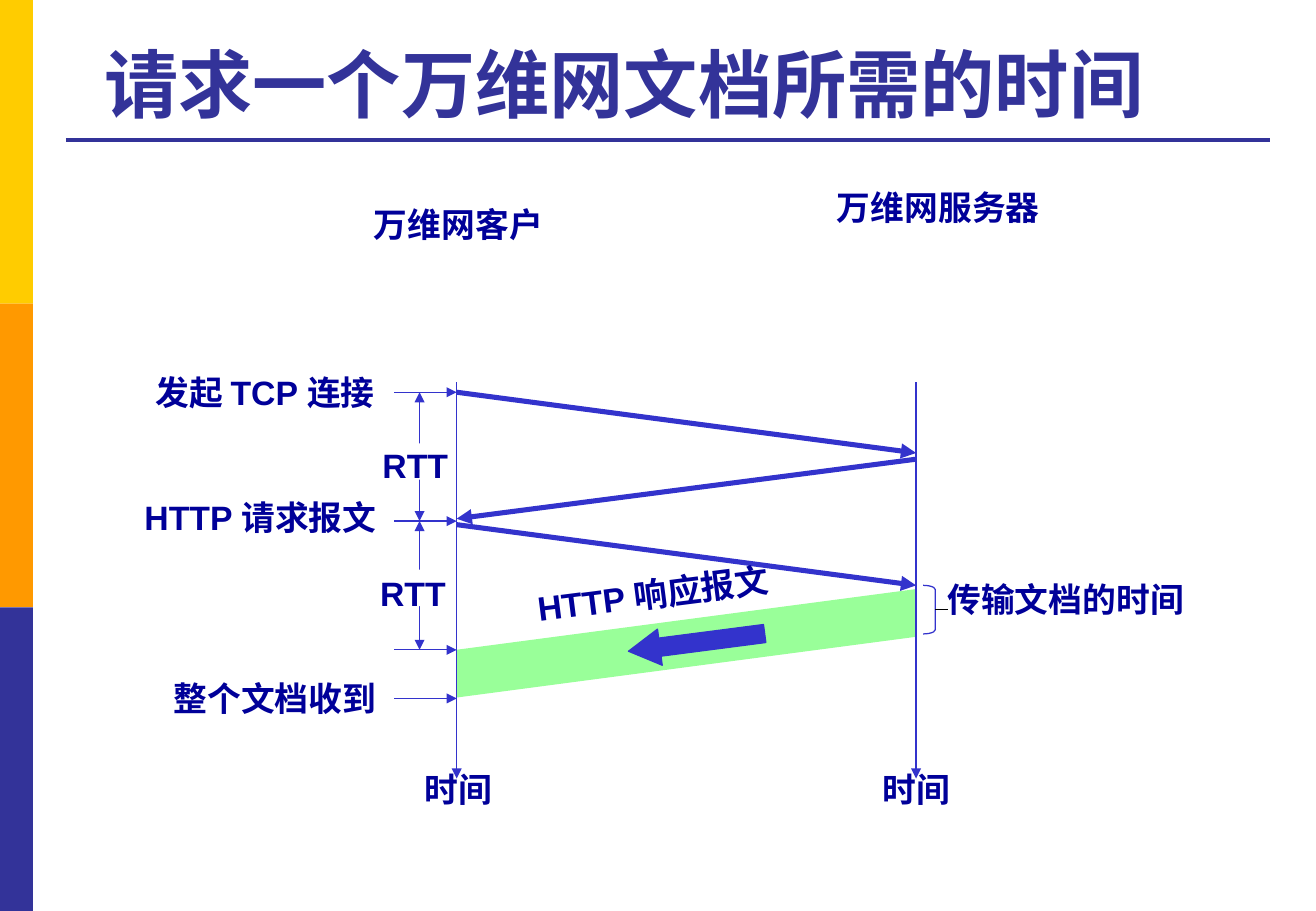
from pptx import Presentation
from pptx.dml.color import RGBColor
from pptx.enum.shapes import MSO_CONNECTOR as CONN, MSO_SHAPE as SHAPE
from pptx.enum.text import MSO_ANCHOR as ANCHOR, MSO_AUTO_SIZE as AUTO, PP_ALIGN as ALIGN
from pptx.oxml.ns import qn
from pptx.util import Pt
from lxml.etree import SubElement

NAVY, BLUE, INK = "333399", "3333CC", "000099"
WHITE, GREEN, BLACK = "FFFFFF", "99FF99", "000000"
FONT = "Arial"
CLIENT, SERVER = 270.7, 543
SYN, SYN_IN, ACK, ACK_IN = 232.5, 268.5, 272.2, 307.5
REQUEST, REQUEST_IN = 311, 347
MARKS = (232.5, 308.9, 385.2, 414)
MARK_LEFT, RTT_X = 233.7, 248.7
BAND_TOP, BAND_HEIGHT = 349.2, 28.3
AXIS_TOP, AXIS_END = 226.5, 461.5


def color(hex_string):
    return RGBColor.from_string(hex_string)


def add_run(p, text, size, hex_string):
    r = p.add_run()
    r.text = text
    r.font.name, r.font.size, r.font.bold = FONT, Pt(size), True
    r.font.color.rgb = color(hex_string)


def paint(sp, fill=None, line=None):
    sp.shadow.inherit = False
    if fill:
        sp.fill.solid()
        sp.fill.fore_color.rgb = color(fill)
    else:
        sp.fill.background()
    if line:
        sp.line.color.rgb = color(line)
        sp.line.width = Pt(0.75)
    else:
        sp.line.fill.background()


def add_block(slide, kind, x, y, w, h, fill=None, line=None):
    sp = slide.shapes.add_shape(kind, Pt(x), Pt(y), Pt(w), Pt(h))
    paint(sp, fill, line)
    return sp


def add_label(slide, text, x, y, w, h=31.5, wrap=False, fill=None):
    sp = slide.shapes.add_textbox(Pt(x), Pt(y), Pt(w), Pt(h))
    if fill:
        sp.fill.solid()
        sp.fill.fore_color.rgb = color(fill)
    tf = sp.text_frame
    tf.word_wrap = wrap
    tf.auto_size = AUTO.SHAPE_TO_FIT_TEXT
    add_run(tf.paragraphs[0], text, 20, INK)
    return sp


def add_line(slide, x1, y1, x2, y2, width=0.75, hex_string=BLUE, ends=()):
    sp = slide.shapes.add_connector(CONN.STRAIGHT, Pt(x1), Pt(y1), Pt(x2), Pt(y2))
    sp.line.color.rgb = color(hex_string)
    sp.line.width = Pt(width)
    ln = sp.line._get_or_add_ln()
    for end in ends:
        SubElement(ln, qn("a:" + end), type="triangle")
    SubElement(sp._element.spPr, qn("a:effectLst"))


def add_arrow(slide, x1, y1, x2, y2, width=0.75):
    add_line(slide, x1, y1, x2, y2, width, ends=("tailEnd",))


def add_rtt(slide, top, bottom, label_x, label_y, gap_y):
    add_line(slide, RTT_X, top, RTT_X, bottom, ends=("headEnd", "tailEnd"))
    add_block(slide, SHAPE.RECTANGLE, 225.4, gap_y, 44, 21.6, WHITE)
    add_label(slide, "RTT", label_x, label_y, 54)


def add_title(slide, text):
    sp = slide.shapes.title
    sp.left, sp.top, sp.width, sp.height = Pt(39.6), Pt(15), Pt(671), Pt(64)
    tf = sp.text_frame
    tf.auto_size, tf.vertical_anchor = AUTO.NONE, ANCHOR.BOTTOM
    p = tf.paragraphs[0]
    p.alignment = ALIGN.CENTER
    add_run(p, text, 44, NAVY)


def add_band(slide):
    slope = REQUEST_IN - REQUEST
    left, right = BAND_TOP + slope, BAND_TOP
    fb = slide.shapes.build_freeform(Pt(CLIENT), Pt(left), scale=1.0)
    corners = [(SERVER, right), (SERVER, right + BAND_HEIGHT), (CLIENT, left + BAND_HEIGHT)]
    fb.add_line_segments([(Pt(x), Pt(y)) for x, y in corners], close=True)
    paint(fb.convert_to_shape(), GREEN)


def main():
    prs = Presentation()
    prs.slide_width, prs.slide_height = Pt(780), Pt(540)
    slide = prs.slides.add_slide(prs.slide_layouts[5])

    for i, fill in enumerate(("FFCC00", "FF9900", NAVY)):
        add_block(slide, SHAPE.RECTANGLE, 0, i * 180, 19.5, 180, fill)
    add_line(slide, 39, 82.8, 753, 82.8, 2.25, NAVY)
    add_title(slide, "请求一个万维网文档所需的时间 ")

    add_rtt(slide, MARKS[1], MARKS[2], 218.2, 336.2, 337.7)
    add_rtt(slide, MARKS[0], MARKS[1], 219.6, 260, 262.8)
    add_band(slide)

    server = add_label(slide, "万维网服务器", 488.2, 111.6, 136, 26.6)
    p = server.text_frame.paragraphs[0]
    p.alignment, p.line_spacing = ALIGN.CENTER, 0.8
    add_label(slide, "万维网客户", 214.6, 117.4, 116)
    add_label(slide, "发起 TCP 连接", 85, 216.7, 147, wrap=True, fill=WHITE)
    add_label(slide, "HTTP 请求报文", 78.5, 290.9, 154, wrap=True)
    add_label(slide, "传输文档的时间", 554.4, 339.8, 157, fill=WHITE)
    add_label(slide, "整个文档收到", 95.8, 398.2, 137, fill=WHITE)

    for x, label_x in ((CLIENT, 244.8), (SERVER, 516.2)):
        add_arrow(slide, x, AXIS_TOP, x, AXIS_END)
        add_label(slide, "时间", label_x, 452.2, 55.4)
    for y in MARKS:
        add_arrow(slide, MARK_LEFT, y, CLIENT, y)
    add_arrow(slide, CLIENT, SYN, SERVER, SYN_IN, 3)
    add_arrow(slide, SERVER, ACK, CLIENT, ACK_IN, 3)
    add_arrow(slide, CLIENT, REQUEST, SERVER, REQUEST_IN, 3)

    reply = add_block(slide, SHAPE.LEFT_ARROW, 372.2, 370, 81.4, 21.6, BLUE, BLUE)
    reply.adjustments[0], reply.adjustments[1] = 0.5, 0.87
    reply.rotation = 352.6
    add_label(slide, "HTTP 响应报文", 311, 336.2, 154, wrap=True).rotation = 352.7

    bracket = add_block(slide, SHAPE.RIGHT_BRACKET, 547.2, 347, 7.2, 28.8, line=BLUE)
    bracket.adjustments[0] = 0.35
    add_line(slide, 554.4, 361.4, 561.6, 361.4, hex_string=BLACK)

    prs.save("out.pptx")


if __name__ == "__main__":
    main()
